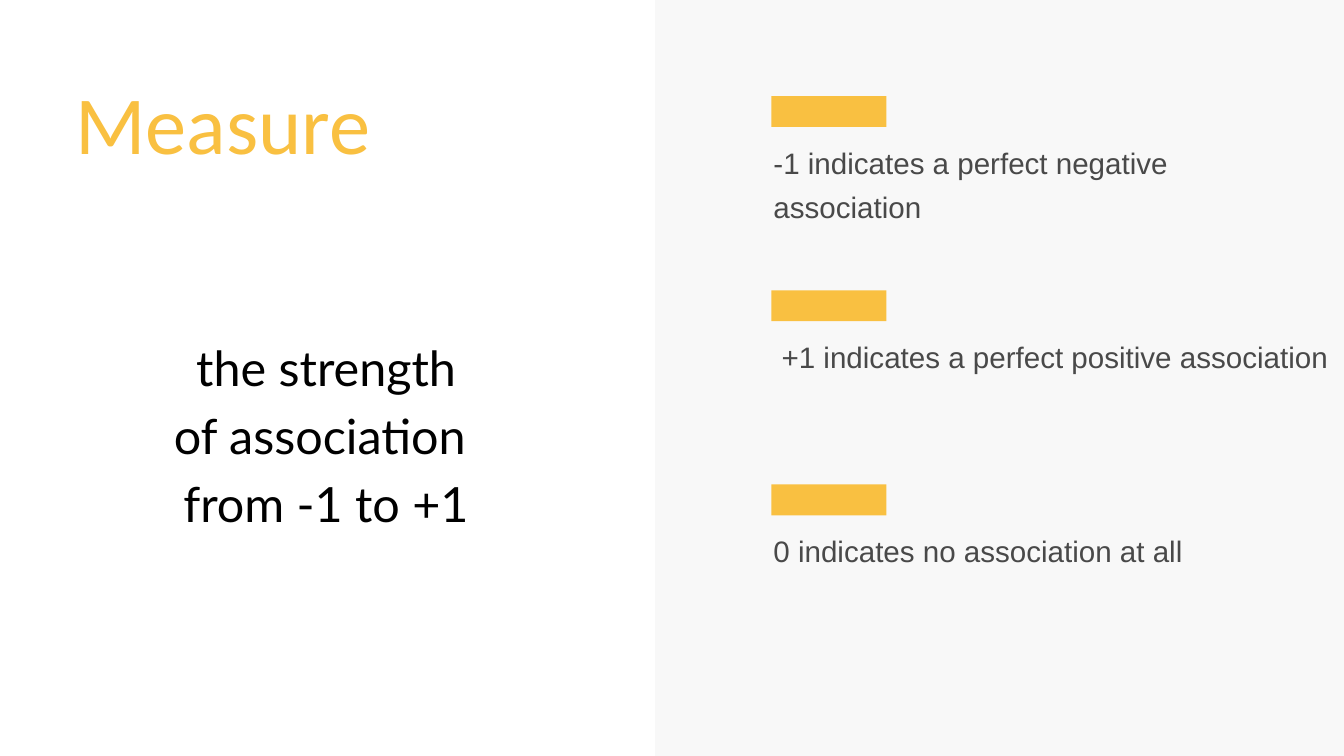
from lxml.etree import SubElement
from pptx import Presentation
from pptx.dml.color import RGBColor
from pptx.enum.shapes import MSO_SHAPE as Shape
from pptx.enum.text import PP_ALIGN as Align
from pptx.oxml.ns import qn
from pptx.util import Inches, Pt

# Content
TITLE = "Measure"
SUMMARY = [" the strength", " of association ", " from -1 to +1"]
READINGS = [  # text, box width, box height
    ("-1 indicates a perfect negative association", 7.37, 1.27),
    (" +1 indicates a perfect positive association", 8.86, 1.27),
    ("0 indicates no association at all", 7.37, 0.62),
]

# Layout in inches
WIDTH, HEIGHT = 20, 11.25
PANEL_LEFT = 9.75
BAR_LEFT, BAR_WIDTH, BAR_HEIGHT = 11.48, 1.71, 0.46
FIRST_ROW, ROW_PITCH = 1.43, 2.89
TEXT_LEFT, TEXT_DROP = 11.51, 0.59

AMBER, GRAY, BLACK, PANEL = "F9C041", "494949", "000000", "DDDDDD"


def color(value):
    return RGBColor.from_string(value)


def add_block(page, left, top, width, height, fill, opacity=None):
    block = page.shapes.add_shape(
        Shape.RECTANGLE, Inches(left), Inches(top), Inches(width), Inches(height))
    block.shadow.inherit = False
    block.line.fill.background()
    block.fill.solid()
    block.fill.fore_color.rgb = color(fill)
    if opacity is not None:
        tint = block.fill._xPr.find(qn("a:solidFill"))[0]
        SubElement(tint, qn("a:alpha"), val=str(opacity * 1000))


def add_text(page, left, top, width, height, lines, font, size, spacing, ink,
             align=Align.LEFT):
    box = page.shapes.add_textbox(
        Inches(left), Inches(top), Inches(width), Inches(height))
    frame = box.text_frame
    frame.word_wrap = True
    frame.margin_left = frame.margin_right = 0
    frame.margin_top = frame.margin_bottom = 0
    for index, line in enumerate(lines):
        para = frame.add_paragraph() if index else frame.paragraphs[0]
        para.alignment = align
        para.line_spacing = Pt(spacing)
        span = para.add_run()
        span.text = line
        span.font.name = font
        span.font.size = Pt(size)
        span.font.color.rgb = color(ink)


def main():
    deck = Presentation()
    deck.slide_width, deck.slide_height = Inches(WIDTH), Inches(HEIGHT)
    page = deck.slides.add_slide(deck.slide_layouts[6])

    # Pale panel on the right
    add_block(page, PANEL_LEFT, 0, WIDTH - PANEL_LEFT, HEIGHT, PANEL, opacity=18)

    # Title and summary on the left
    add_text(page, 1.12, 1.25, 6.24, 1.34, [TITLE], "Calibri", 88.3, 93.6, AMBER)
    add_text(page, 2.16, 4.89, 5.2, 4, SUMMARY, "Lato", 52, 72.8, BLACK,
             Align.CENTER)

    # One bar with its reading per row
    for row, (text, width, height) in enumerate(READINGS):
        top = FIRST_ROW + row * ROW_PITCH
        add_block(page, BAR_LEFT, top, BAR_WIDTH, BAR_HEIGHT, AMBER)
        add_text(page, TEXT_LEFT, top + TEXT_DROP, width, height, [text],
                 "Arial", 31.7, 47.6, GRAY)

    deck.save("out.pptx")


if __name__ == "__main__":
    main()
